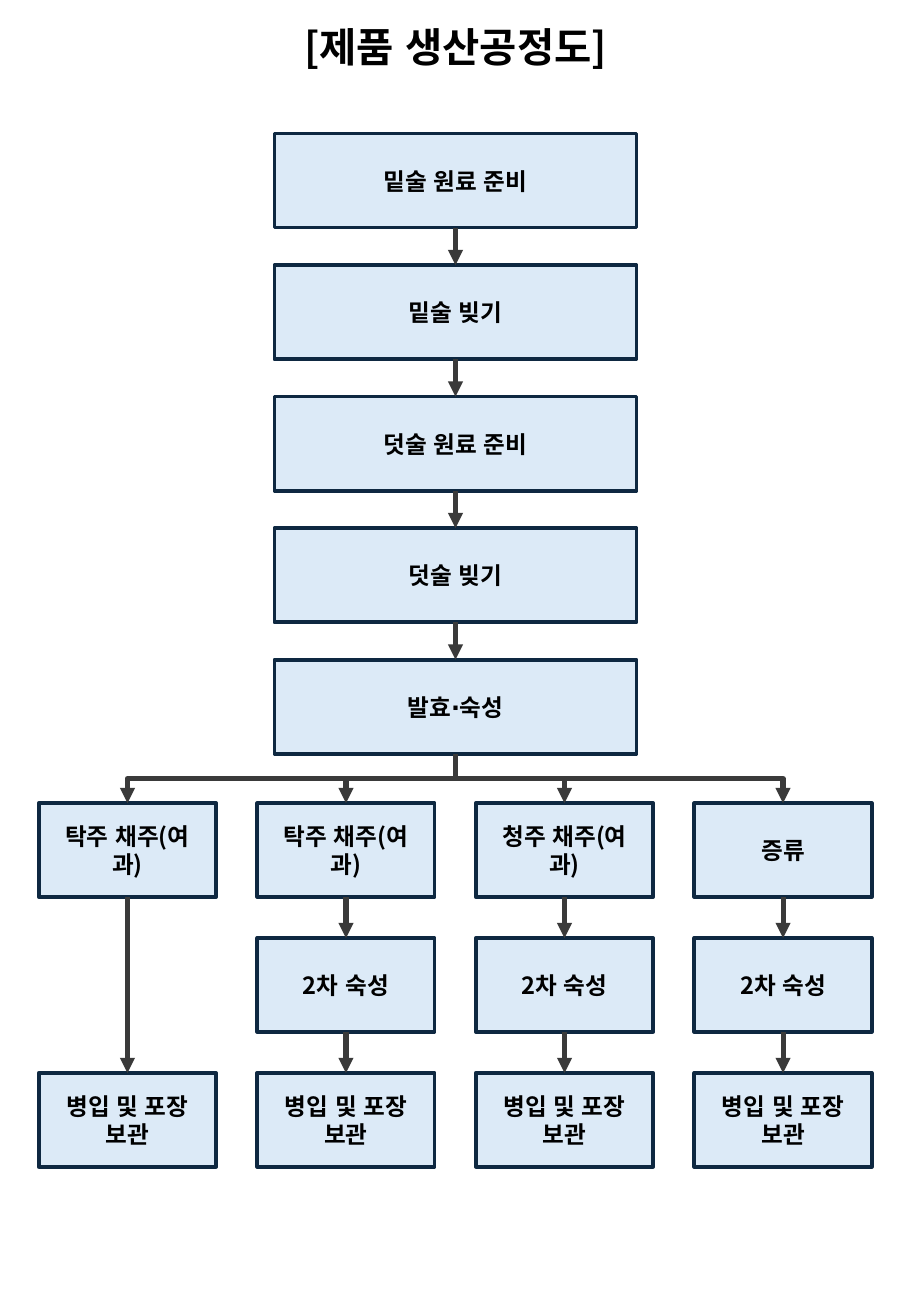
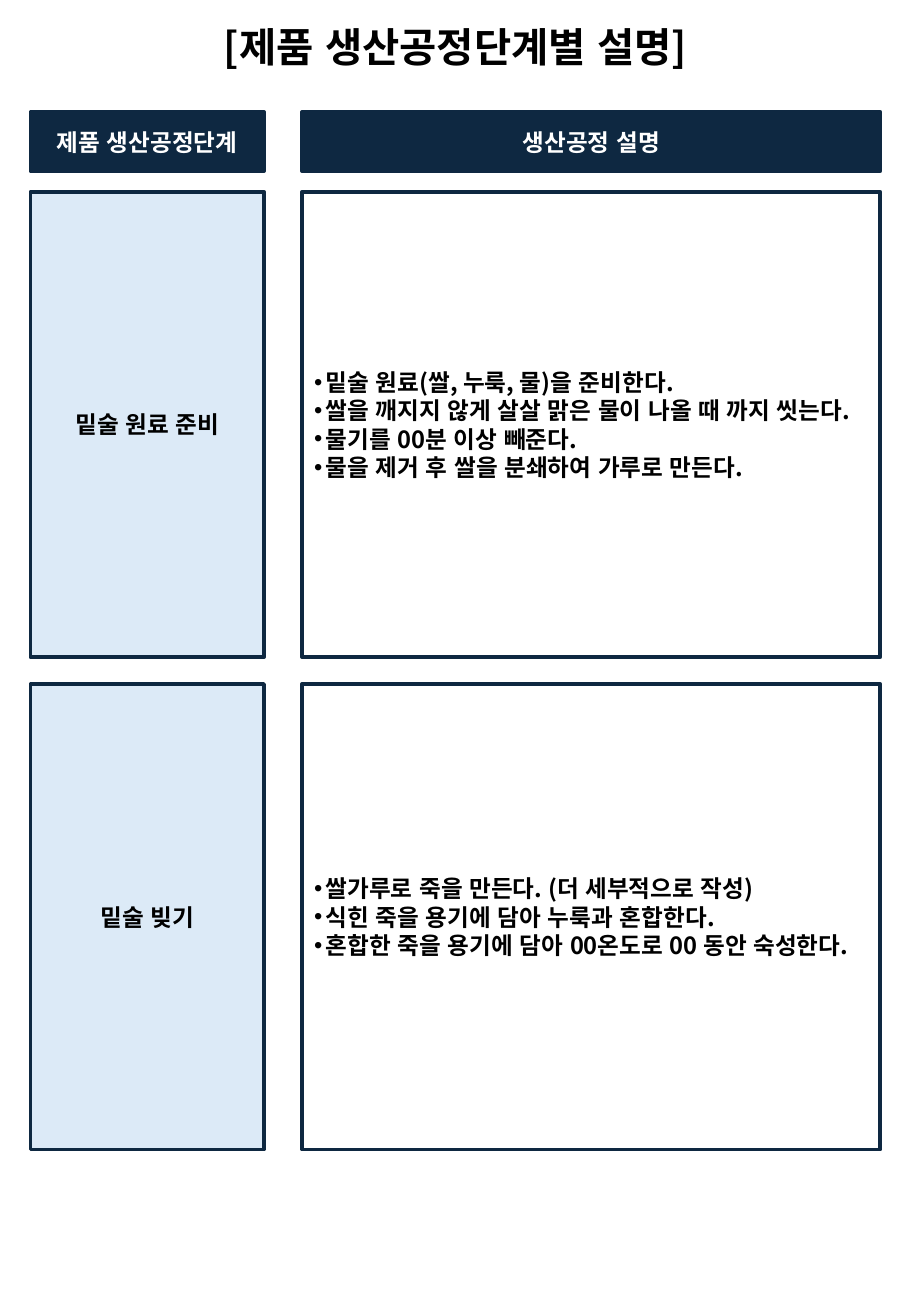
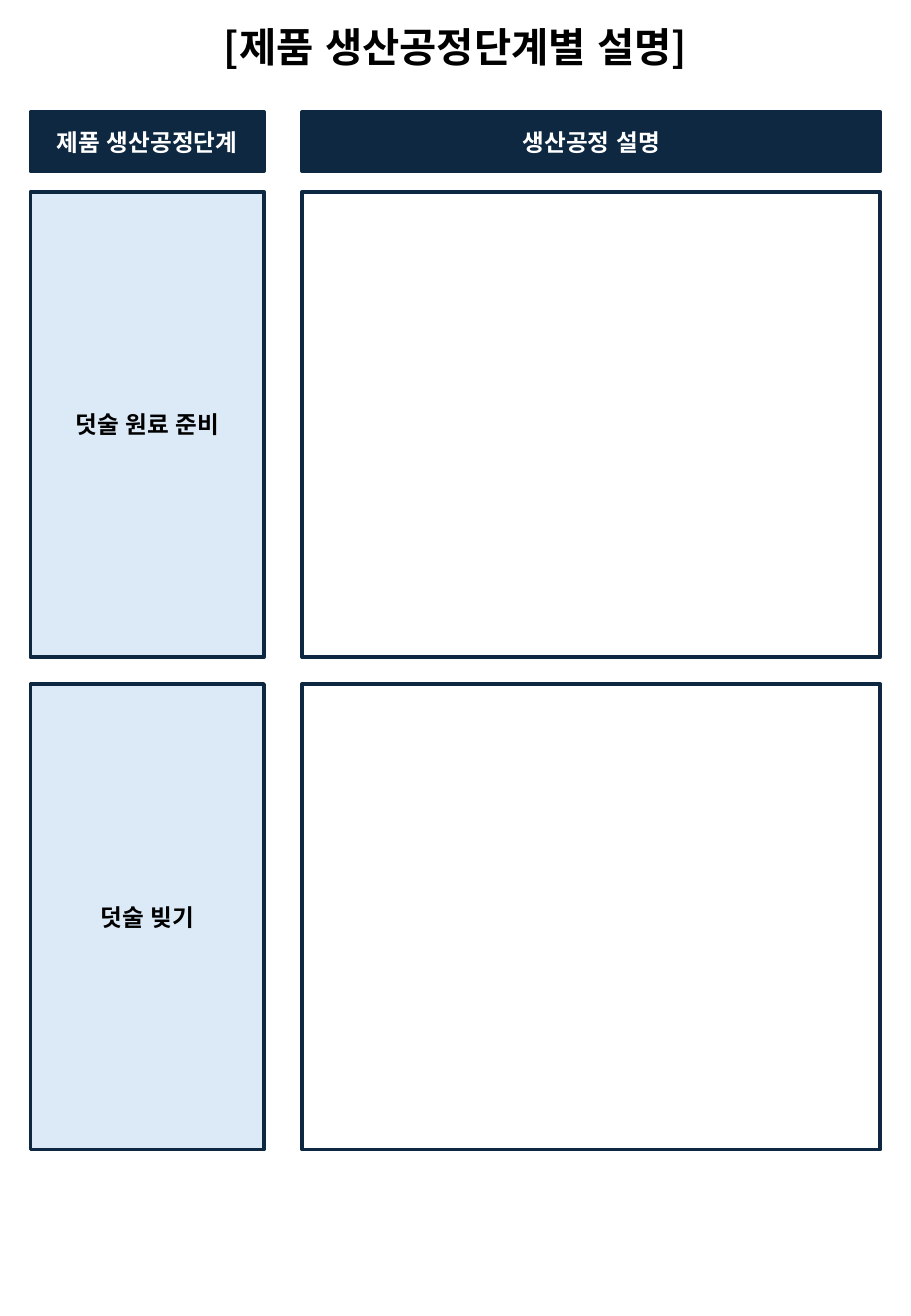
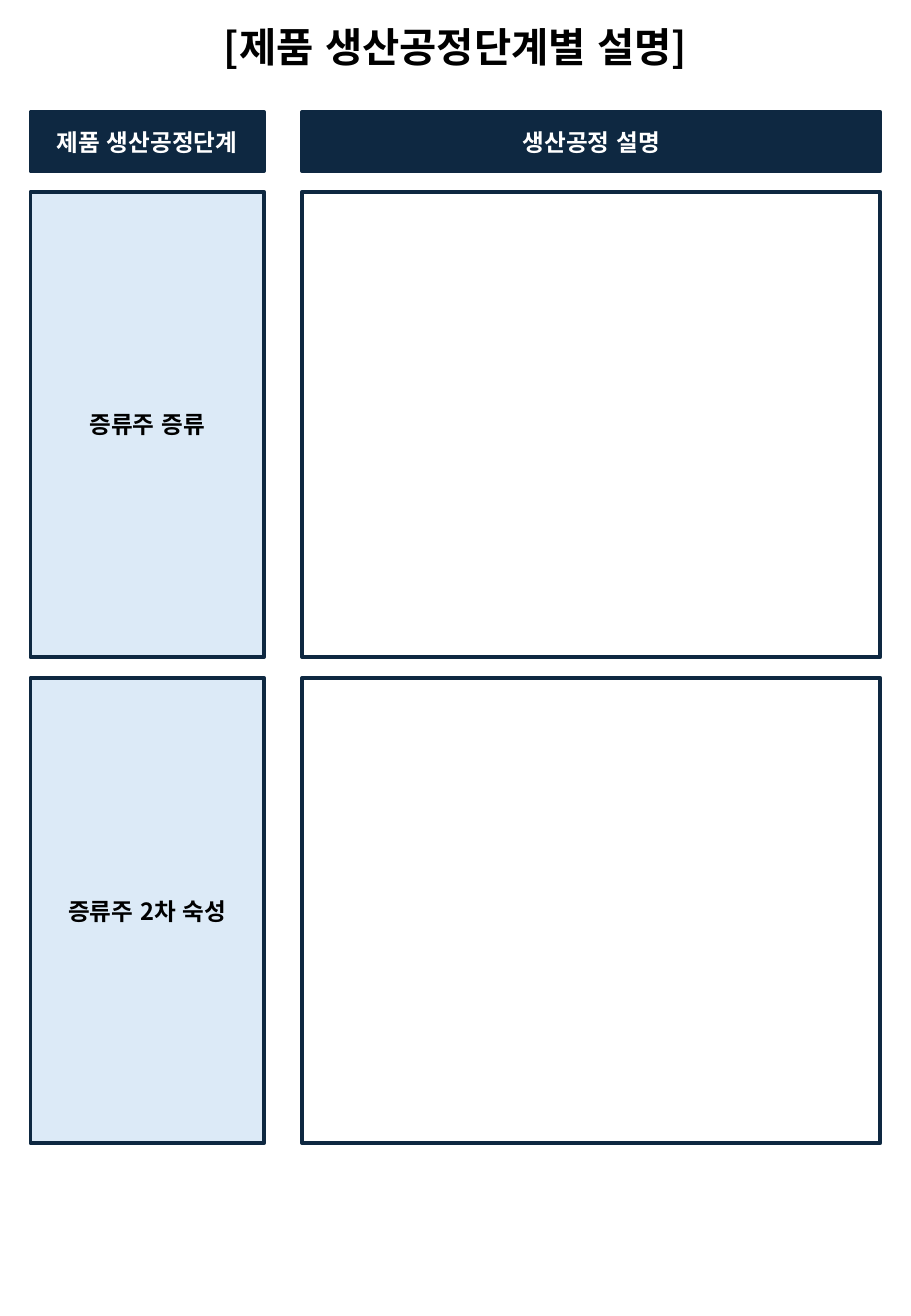
"""Builds the four-page portrait deck on the production process of a brewery."""
from pptx import Presentation
from pptx.dml.color import RGBColor
from pptx.enum.lang import MSO_LANGUAGE_ID as Language
from pptx.enum.shapes import MSO_CONNECTOR as Connector, MSO_SHAPE as Shape
from pptx.enum.text import MSO_ANCHOR as Anchor, MSO_AUTO_SIZE as AutoSize, PP_ALIGN as Align
from pptx.oxml.ns import qn
from pptx.oxml.xmlchemy import OxmlElement
from pptx.util import Cm, Pt

COLORS = {"navy": "0E2841", "sky": "DCEAF7", "white": "FFFFFF", "black": "000000", "arrow": "3A3A3A"}
FONT = "Noto Sans CJK KR"
TOP_SITE, BOTTOM_SITE = 0, 2


def write_text(frame, text, size=14, color="black", align=Align.CENTER, bullet=False):
    frame.word_wrap = True
    frame.auto_size = AutoSize.NONE
    frame.vertical_anchor = Anchor.MIDDLE
    for number, line in enumerate(text.split("\n")):
        para = frame.add_paragraph() if number else frame.paragraphs[0]
        para.alignment = align
        if bullet:
            properties = para._p.get_or_add_pPr()
            properties.set("marL", str(Cm(0.24)))
            properties.set("indent", str(-Cm(0.24)))
            for tag, name, value in (("a:buFont", "typeface", "Arial"), ("a:buChar", "char", "•")):
                mark = OxmlElement(tag)
                mark.set(name, value)
                properties.append(mark)
        span = para.add_run()
        span.text = line
        span.font.size = Pt(size)
        span.font.bold = True
        span.font.name = FONT
        span.font.language_id = Language.KOREAN
        span.font.color.rgb = RGBColor.from_string(COLORS[color])
        east_asian = OxmlElement("a:ea")
        east_asian.set("typeface", FONT)
        span.font._element.find(qn("a:latin")).addnext(east_asian)


def add_box(page, left, top, width, height, text="", fill="sky", **text_format):
    box = page.shapes.add_shape(Shape.RECTANGLE, Cm(left), Cm(top), Cm(width), Cm(height))
    box.shadow.inherit = False
    box.fill.solid()
    box.fill.fore_color.rgb = RGBColor.from_string(COLORS[fill])
    box.line.color.rgb = RGBColor.from_string(COLORS["navy"])
    box.line.width = Pt(2.25)
    if text:
        write_text(box.text_frame, text, **text_format)
    return box


deck = Presentation()
deck.slide_width, deck.slide_height = Cm(19.05), Cm(27.51)
title_only = deck.slide_layouts[5]

titles = ["[제품 생산공정도]"] + ["[제품 생산공정단계별 설명]"] * 3
pages = []
for title_text in titles:
    page = deck.slides.add_slide(title_only)
    title = page.shapes.title
    title.left, title.top, title.width, title.height = Cm(3.99), Cm(0), Cm(11.07), Cm(1.93)
    write_text(title.text_frame, title_text, size=24)
    pages.append(page)

flow_page, *detail_pages = pages
main_steps = ["밑술 원료 준비", "밑술 빚기", "덧술 원료 준비", "덧술 빚기", "발효∙숙성"]
branches = [
    ["탁주 채주(여과)", "", "병입 및 포장 보관"],
    ["탁주 채주(여과)", "2차 숙성", "병입 및 포장 보관"],
    ["청주 채주(여과)", "2차 숙성", "병입 및 포장 보관"],
    ["증류", "2차 숙성", "병입 및 포장 보관"],
]

main_boxes = [
    add_box(flow_page, 5.74, 2.79 + 2.75 * row, 7.57, 1.97, step)
    for row, step in enumerate(main_steps)
]
links = list(zip(main_boxes, main_boxes[1:]))
for column, steps in enumerate(branches):
    branch_boxes = [
        add_box(flow_page, 0.81 + 4.57 * column, 16.79 + 2.82 * row, 3.71, 1.96, step)
        for row, step in enumerate(steps) if step
    ]
    chain = [main_boxes[-1]] + branch_boxes
    links += zip(chain, chain[1:])

for source, target in links:
    start_x, end_x = (box.left + box.width // 2 for box in (source, target))
    start_y, end_y = source.top + source.height, target.top
    across, down = end_x - start_x, end_y - start_y
    kind = Connector.ELBOW if across else Connector.STRAIGHT
    arrow = flow_page.shapes.add_connector(kind, start_x, start_y, end_x, end_y)
    arrow.begin_connect(source, BOTTOM_SITE)
    arrow.end_connect(target, TOP_SITE)
    if across:
        arrow.width, arrow.height = down, abs(across)
        arrow.left = (start_x + end_x - down) // 2
        arrow.top = (start_y + end_y - abs(across)) // 2
        frame = arrow.element.spPr.find(qn("a:xfrm"))
        frame.set("rot", str((270 if across > 0 else 90) * 60000))
        frame.set("flipH", "1" if across > 0 else "0")
        frame.set("flipV", "0")
    arrow.line.color.rgb = RGBColor.from_string(COLORS["arrow"])
    arrow.line.width = Pt(3)
    head = OxmlElement("a:tailEnd")
    head.set("type", "triangle")
    arrow.line._get_or_add_ln().append(head)
    arrow.element.spPr.append(OxmlElement("a:effectLst"))

raw_material_notes = """밑술 원료(쌀, 누룩, 물)을 준비한다.
쌀을 깨지지 않게 살살 맑은 물이 나올 때 까지 씻는다.
물기를 00분 이상 빼준다.
물을 제거 후 쌀을 분쇄하여 가루로 만든다."""
brewing_notes = """쌀가루로 죽을 만든다. (더 세부적으로 작성)
식힌 죽을 용기에 담아 누룩과 혼합한다.
혼합한 죽을 용기에 담아 00온도로 00 동안 숙성한다."""
details = [
    (14.3, [("밑술 원료 준비", raw_material_notes), ("밑술 빚기", brewing_notes)]),
    (14.3, [("덧술 원료 준비", ""), ("덧술 빚기", "")]),
    (14.17, [("증류주 증류", ""), ("증류주 2차 숙성", "")]),
]
step_column, notes_column = (0.64, 4.88), (6.32, 12.09)

for page, (second_top, rows) in zip(detail_pages, details):
    for (left, width), heading in ((step_column, "제품 생산공정단계"), (notes_column, "생산공정 설명")):
        add_box(page, left, 2.34, width, 1.24, heading, fill="navy", color="white")
    for top, (step, notes) in zip((4.01, second_top), rows):
        add_box(page, step_column[0], top, step_column[1], 9.73, step)
        add_box(page, notes_column[0], top, notes_column[1], 9.73, notes,
                fill="white", align=Align.LEFT, bullet=True)

deck.save("out.pptx")
